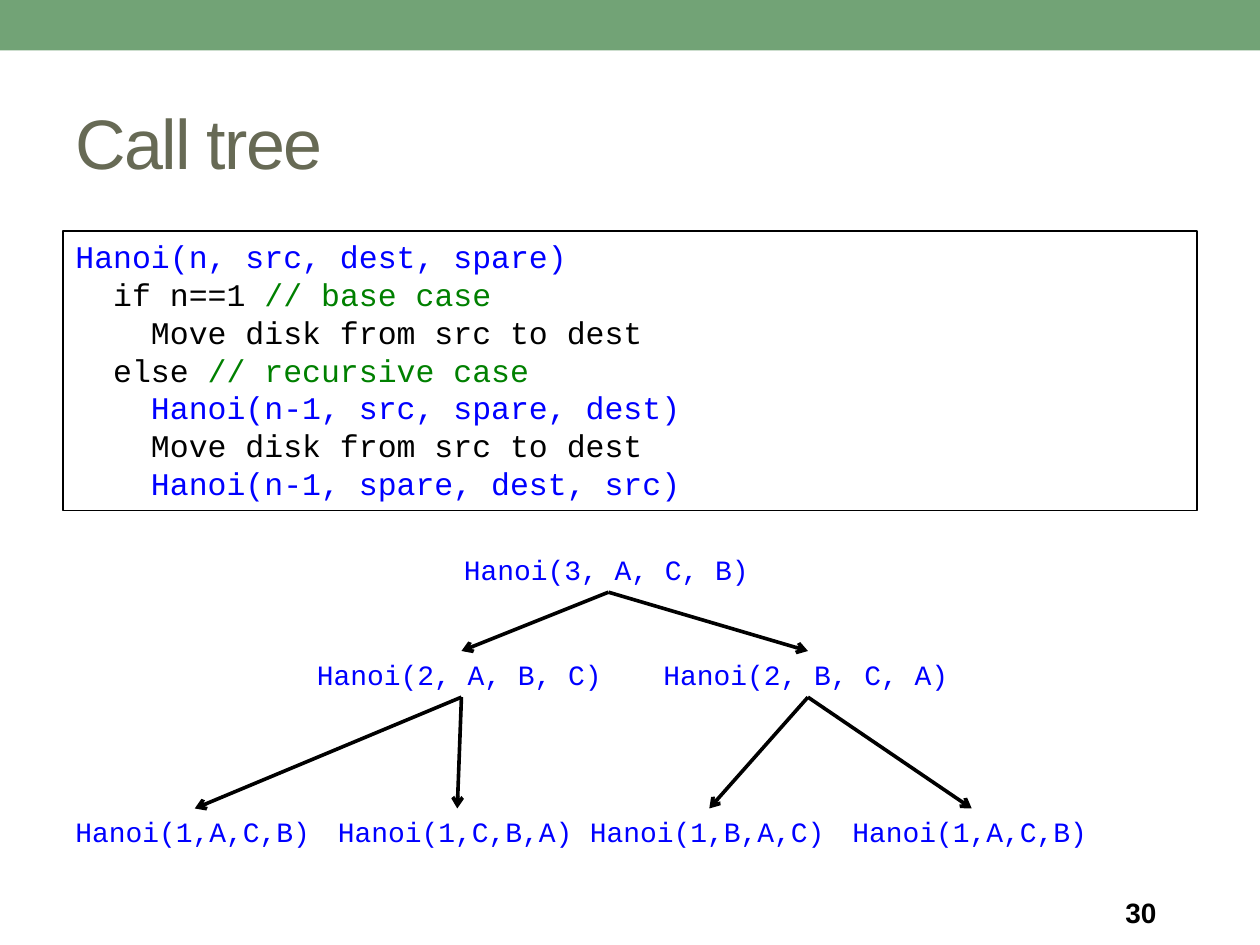
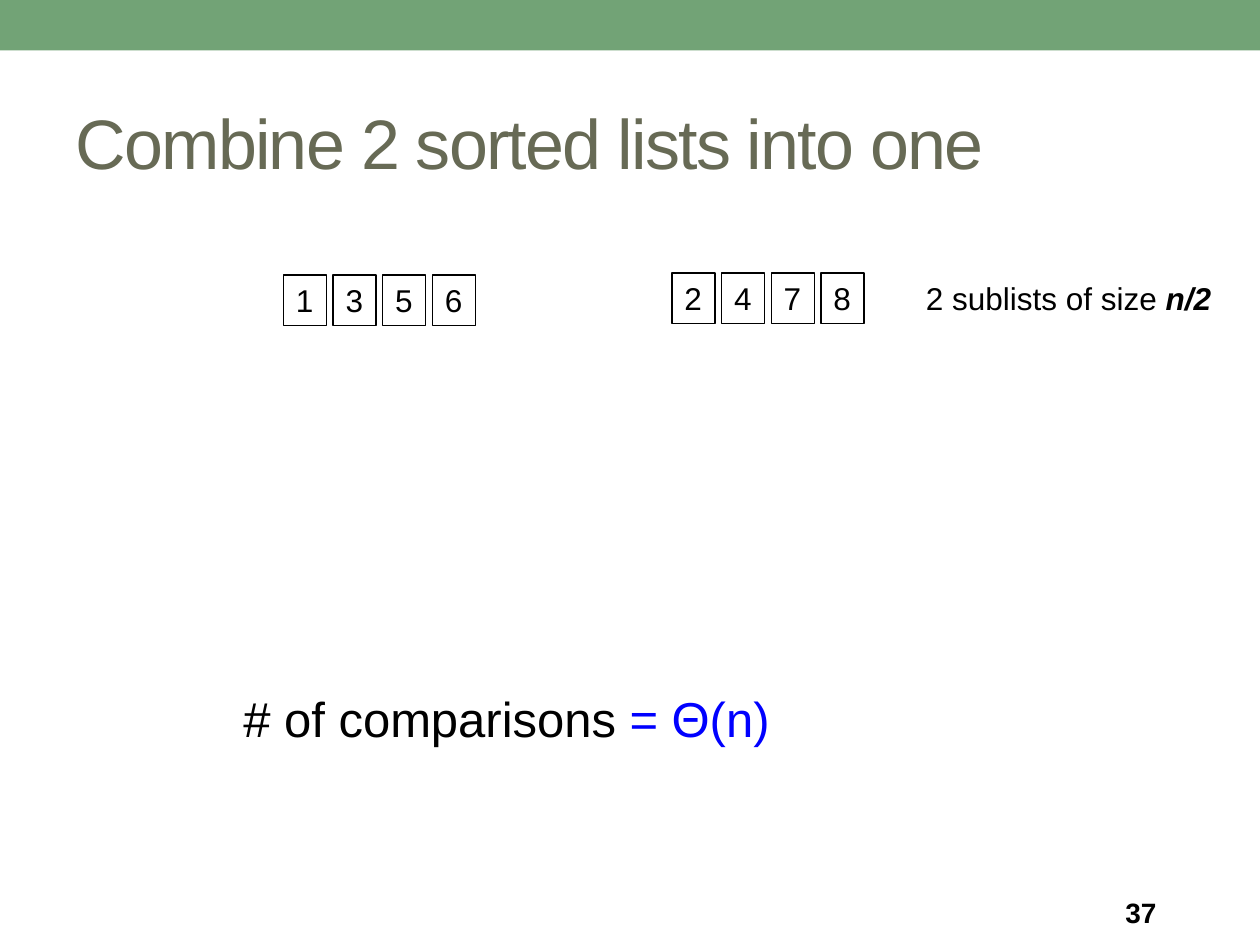
from dataclasses import dataclass
from lxml.etree import SubElement
from pptx import Presentation
from pptx.dml.color import RGBColor
from pptx.enum.shapes import MSO_CONNECTOR, MSO_SHAPE
from pptx.enum.text import MSO_ANCHOR, PP_ALIGN
from pptx.oxml.ns import qn
from pptx.util import Inches, Pt


@dataclass(frozen=True)
class Theme:
    band: str = "72A376"
    title: str = "676A55"
    ink: str = "000000"
    call: str = "0000FF"
    note: str = "008000"
    sans: str = "Arial"
    mono: str = "Courier New"
    head: int = 40
    big: int = 28
    body: int = 18
    small: int = 16
    thin: float = 0.75
    thick: float = 2.08


LOOK = Theme()
COLS, ROWS = 120, 90
WIDE, HIGH = Inches(10), Inches(7.5)
CELL, STEP = 4.1, 4.73
LINE, NODE = 4.8, 4.4

CODE = [
    [("Hanoi(n, src, dest, spare)", LOOK.call)],
    [("  if n==1 ", LOOK.ink), ("// base case", LOOK.note)],
    [("    Move disk from src to dest", LOOK.ink)],
    [("  else ", LOOK.ink), ("// recursive case", LOOK.note)],
    [("    ", LOOK.ink), ("Hanoi(n-1, src, spare, dest)", LOOK.call)],
    [("    Move disk from src to dest", LOOK.ink)],
    [("    ", LOOK.ink), ("Hanoi(n-1, spare, dest, src)", LOOK.call)],
]
TREE = [
    (52, 29.9, [(43, "Hanoi(3, A, C, B)")]),
    (62, 29.9, [(29, "Hanoi(2, A, B, C)"), (62, "Hanoi(2, B, C, A)")]),
    (77, 25.1, [(6, "Hanoi(1,A,C,B)"), (31, "Hanoi(1,C,B,A)"),
                (55, "Hanoi(1,B,A,C)"), (80, "Hanoi(1,A,C,B)")]),
]


def grid(col, row):
    return round(WIDE * col / COLS), round(HIGH * row / ROWS)


def place(col, row, wide, high):
    return *grid(col, row), *grid(wide, high)


def apply(item, vals):
    for name, val in vals.items():
        setattr(item, name, val)


def hue(code):
    return RGBColor.from_string(code)


def write(frame, lines, face, size, wrap=False, **more):
    apply(frame, {"word_wrap": wrap, **more})
    for num, line in enumerate(lines):
        para = frame.add_paragraph() if num else frame.paragraphs[0]
        para.alignment = PP_ALIGN.LEFT
        for text, shade, *marks in line:
            run = para.add_run()
            run.text = text
            vals = {"name": face, "size": Pt(size)}
            apply(run.font, vals | {mark: True for mark in marks})
            run.font.color.rgb = hue(shade)


def label(shapes, spot, line, face, size, **more):
    box = shapes.add_textbox(*place(*spot))
    write(box.text_frame, [line], face, size, **more)
    return box


def frame(shapes, spot, lines, face, size, **more):
    box = shapes.add_shape(MSO_SHAPE.RECTANGLE, *place(*spot))
    box.shadow.inherit = False
    box.fill.background()
    box.line.color.rgb = hue(LOOK.ink)
    box.line.width = Pt(LOOK.thin)
    write(box.text_frame, lines, face, size,
          vertical_anchor=MSO_ANCHOR.TOP, **more)


def arrow(shapes, start, end):
    link = shapes.add_connector(MSO_CONNECTOR.STRAIGHT, *grid(*start), *grid(*end))
    link.line.color.rgb = hue(LOOK.ink)
    link.line.width = Pt(LOOK.thick)
    SubElement(link.line._get_or_add_ln(), qn("a:tailEnd"), type="arrow")
    SubElement(link.element.spPr, qn("a:effectLst"))


def band(deck, slide):
    bar = slide.shapes.add_shape(MSO_SHAPE.RECTANGLE, *place(0, 0, COLS, LINE))
    bar.shadow.inherit = False
    bar.fill.solid()
    bar.fill.fore_color.rgb = hue(LOOK.band)
    bar.line.fill.background()
    deck.slide_master.element.cSld.spTree.insert(2, bar.element)


def start(deck, text, page):
    slide = deck.slides.add_slide(deck.slide_layouts[5])
    title = slide.shapes.title
    spot = zip(("left", "top", "width", "height"), place(6, 7, 108, 13))
    apply(title, dict(spot))
    write(title.text_frame, [[(text, LOOK.title)]], LOOK.sans, LOOK.head,
          wrap=True, vertical_anchor=MSO_ANCHOR.MIDDLE)
    run = title.text_frame.paragraphs[0].runs[0]
    run.font._element.set("spc", "-100")
    label(slide.shapes, (106, 84.7, 14, 4.3), [(page, LOOK.ink, "bold")],
          LOOK.sans, LOOK.small, wrap=True, vertical_anchor=MSO_ANCHOR.MIDDLE)
    return slide


def tree(shapes):
    above = []
    for row, wide, nodes in TREE:
        for num, (col, text) in enumerate(nodes):
            label(shapes, (col, row, wide, NODE), [(text, LOOK.call)],
                  LOOK.mono, LOOK.small)
            if above:
                arrow(shapes, above[num // 2], (col + wide / 2, row))
        above = [(col + wide / 2, row + NODE) for col, text in nodes]


def cells(shapes, col, row, digits):
    for num, digit in enumerate(digits):
        frame(shapes, (col + num * STEP, row, CELL, LINE),
              [[(digit, LOOK.ink)]], LOOK.sans, LOOK.body)


def main():
    deck = Presentation()
    apply(deck, {"slide_width": WIDE, "slide_height": HIGH})

    calls = start(deck, "Call tree", "30")
    band(deck, calls)
    tree(calls.shapes.add_group_shape().shapes)
    frame(calls.shapes, (6, 22, 108, 26.6), CODE, LOOK.mono, LOOK.body, wrap=True)

    merge = start(deck, "Combine 2 sorted lists into one", "37")
    cells(merge.shapes, 27, 26.2, "1356")
    cells(merge.shapes, 64, 26, "2478")
    label(merge.shapes, (87, 26, 29.9, LINE),
          [("2 sublists of size ", LOOK.ink), ("n/2", LOOK.ink, "bold", "italic")],
          LOOK.sans, LOOK.body)
    label(merge.shapes, (22, 65, 55, 6.8),
          [("# of comparisons ", LOOK.ink), ("= Θ(n)", LOOK.call)],
          LOOK.sans, LOOK.big, wrap=True)

    deck.save("out.pptx")


if __name__ == "__main__":
    main()
